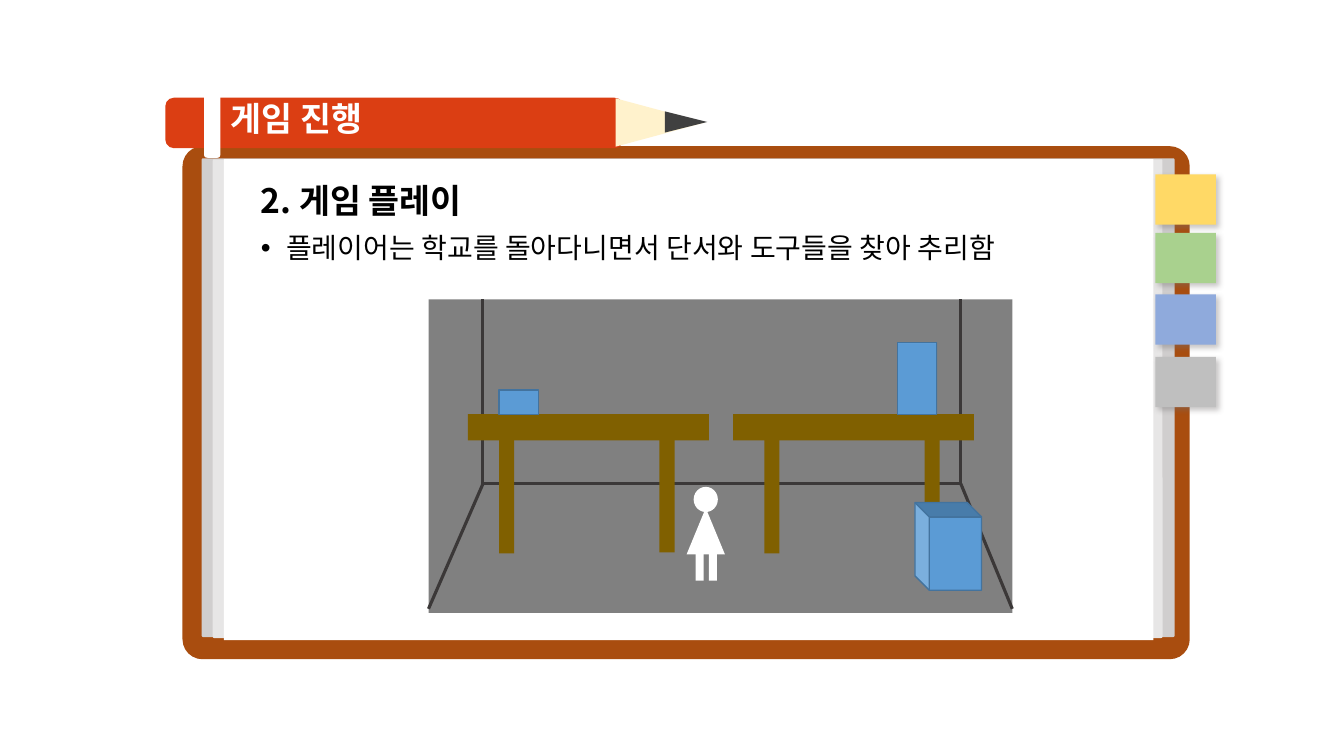
from dataclasses import dataclass
from typing import Any, Optional

from lxml import etree
from pptx import Presentation
from pptx import util as u
from pptx.dml.color import RGBColor
from pptx.enum import shapes, text
from pptx.oxml import ns

PX = 9144  # EMU per px, 100 px to the inch
FONT = "Noto Sans CJK KR"
FORM = shapes.MSO_SHAPE

WHITE = RGBColor(0xFF, 0xFF, 0xFF)
BLACK = RGBColor(0x00, 0x00, 0x00)
COVER_BROWN = RGBColor(0xA9, 0x4D, 0x0F)
PAGE_GREY = RGBColor(0xD0, 0xCE, 0xCE)
PAGE_LIGHT = RGBColor(0xE7, 0xE6, 0xE6)
PENCIL_RED = RGBColor(0xDB, 0x3E, 0x13)
PENCIL_WOOD = RGBColor(0xFF, 0xF2, 0xCC)
PENCIL_LEAD = RGBColor(0x40, 0x40, 0x40)
WALL_GREY = RGBColor(0x80, 0x80, 0x80)
EDGE_GREY = RGBColor(0x3B, 0x38, 0x38)
DESK_BROWN = RGBColor(0x80, 0x60, 0x00)
BOX_BLUE = RGBColor(0x5B, 0x9B, 0xD5)
BOX_EDGE = RGBColor(0x43, 0x73, 0x9E)
TAB_YELLOW = RGBColor(0xFF, 0xD9, 0x66)
TAB_GREEN = RGBColor(0xA9, 0xD1, 0x8E)
TAB_BLUE = RGBColor(0x8F, 0xAA, 0xDC)
TAB_GREY = RGBColor(0xBF, 0xBF, 0xBF)


@dataclass(frozen=True)
class Block:
    left: int
    top: int
    width: int
    height: int
    fill: RGBColor
    form: Any = FORM.RECTANGLE
    turn: int = 0
    adjust: Optional[float] = None
    outline: Optional[RGBColor] = None


@dataclass(frozen=True)
class Line:
    wording: str
    size: int
    color: RGBColor
    bold: bool = True
    space_before: int = 0
    bullet: bool = False


NOTEBOOK = [
    Block(181, 145, 999, 509, COVER_BROWN, FORM.ROUNDED_RECTANGLE, adjust=0.039),
    Block(200, 157, 965, 475, PAGE_GREY, FORM.ROUNDED_RECTANGLE, adjust=0.003),
    Block(211, 158, 942, 475, PAGE_LIGHT, FORM.ROUNDED_RECTANGLE, adjust=0.003),
]
PENCIL = [
    Block(366, -105, 50, 454, PENCIL_RED, FORM.ROUNDED_RECTANGLE, 90),
    Block(631, 77, 48, 89, PENCIL_WOOD, FORM.ISOSCELES_TRIANGLE, 90),
    Block(670, 100, 21, 42, PENCIL_LEAD, FORM.ISOSCELES_TRIANGLE, 90),
]
PENCIL_BAND = Block(179, 117, 63, 16, WHITE, FORM.ROUNDED_RECTANGLE, 270)
PAPER = Block(222, 158, 922, 477, WHITE)
ROOM = Block(425, 297, 579, 311, WALL_GREY)
GIRL = [
    Block(688, 483, 24, 25, WHITE, FORM.OVAL),
    Block(681, 504, 38, 46, WHITE, FORM.ISOSCELES_TRIANGLE),
    Block(690, 549, 8, 27, WHITE),
    Block(703, 549, 8, 27, WHITE),
]
BOXES = [
    Block(495, 387, 39, 24, BOX_BLUE, FORM.CUBE, 0, 0, BOX_EDGE),
    Block(890, 340, 39, 71, BOX_BLUE, FORM.CUBE, 0, 0, BOX_EDGE),
    Block(897, 509, 87, 66, BOX_BLUE, FORM.CUBE, 270, 0.215, BOX_EDGE),
]
TABS = {173: TAB_YELLOW, 231: TAB_GREEN, 292: TAB_BLUE, 354: TAB_GREY}

WALL_LEFT, WALL_RIGHT, CEILING, FLOOR, FRONT = 479, 953, 297, 480, 604
BACK_EDGE = (WALL_LEFT, FLOOR, WALL_RIGHT, FLOOR)
SIDE_EDGES = [
    (WALL_LEFT, CEILING, WALL_LEFT, FLOOR),
    (WALL_RIGHT, CEILING, WALL_RIGHT, FLOOR),
    (WALL_RIGHT, FLOOR, 1004, FRONT),
    (WALL_LEFT, FLOOR, 425, FRONT),
]
TITLE = [Line("게임 진행", 24, WHITE)]
BODY = [
    Line("2. 게임 플레이", 24, BLACK, space_before=10),
    Line("플레이어는 학교를 돌아다니면서 단서와 도구들을 찾아 추리함", 20, BLACK, False, 10, True),
]


def draw(target: Any, block: Block) -> Any:
    frame = (n * PX for n in (block.left, block.top, block.width, block.height))
    shape = target.add_shape(block.form, *frame)
    shape.rotation = block.turn
    shape.shadow.inherit = False
    shape.fill.solid()
    shape.fill.fore_color.rgb = block.fill
    if block.adjust is not None:
        shape.adjustments[0] = block.adjust
    if block.outline is None:
        shape.line.fill.background()
    else:
        shape.line.color.rgb = block.outline
        shape.line.width = u.Pt(1)
    return shape


def draw_group(page: Any, blocks: list[Block]) -> None:
    group = page.shapes.add_group_shape()
    for block in blocks:
        draw(group.shapes, block)


def desk(left: int) -> list[Block]:
    """Return a desk top with its two upright legs."""
    return [
        Block(left, 411, 239, 26, DESK_BROWN),
        Block(left - 18, 485, 113, 15, DESK_BROWN, turn=90),
        Block(left + 141, 484, 113, 15, DESK_BROWN, turn=90),
    ]


def draw_edge(page: Any, ends: tuple[int, int, int, int]) -> None:
    edge = page.shapes.add_connector(shapes.MSO_CONNECTOR.STRAIGHT, *(n * PX for n in ends))
    edge.line.color.rgb = EDGE_GREY
    edge.line.width = u.Pt(2.25)
    etree.SubElement(edge._element.spPr, ns.qn("a:effectLst"))


def draw_tab(page: Any, top: int, color: RGBColor) -> None:
    tab = draw(page.shapes, Block(1146, top, 60, 50, color))
    effects = tab._element.spPr.find(ns.qn("a:effectLst"))
    shadow = etree.SubElement(
        effects, ns.qn("a:outerShdw"), blurRad=str(u.Pt(4)), dist=str(u.Pt(3)),
        dir=str(45 * 60000), algn="tl", rotWithShape="0")
    tint = etree.SubElement(shadow, ns.qn("a:srgbClr"), val="767171")
    etree.SubElement(tint, ns.qn("a:alpha"), val="40000")


def write(page: Any, frame: tuple[int, int, int, int], lines: list[Line], anchor: Any) -> None:
    box = page.shapes.add_textbox(*(n * PX for n in frame))
    box.text_frame.word_wrap = True
    box.text_frame.vertical_anchor = anchor
    box.text_frame.text = "\n".join(line.wording for line in lines)
    for para, line in zip(box.text_frame.paragraphs, lines):
        para.line_spacing = 0.9
        para.space_before = u.Pt(line.space_before)
        if line.bullet:
            props = para._p.get_or_add_pPr()
            props.set("marL", str(25 * PX))
            props.set("indent", str(-25 * PX))
            etree.SubElement(props, ns.qn("a:buFont"), typeface="Arial")
            etree.SubElement(props, ns.qn("a:buChar"), char="•")
        for span in para.runs:
            span.font.size = u.Pt(line.size)
            span.font.bold = line.bold
            span.font.color.rgb = line.color
            span.font.name = FONT
            etree.SubElement(span._r.get_or_add_rPr(), ns.qn("a:ea"), typeface=FONT)


def main() -> None:
    deck = Presentation()
    deck.slide_width, deck.slide_height = 1333 * PX, 750 * PX
    page = deck.slides.add_slide(deck.slide_layouts[6])

    for block in NOTEBOOK:
        draw(page.shapes, block)
    draw_group(page, PENCIL)
    for block in (PENCIL_BAND, PAPER, ROOM):
        draw(page.shapes, block)
    draw_edge(page, BACK_EDGE)
    write(page, (249, 178, 863, 441), BODY, text.MSO_ANCHOR.TOP)
    write(page, (219, 96, 723, 48), TITLE, text.MSO_ANCHOR.MIDDLE)
    for top, color in TABS.items():
        draw_tab(page, top, color)
    draw_group(page, GIRL)
    for ends in SIDE_EDGES:
        draw_edge(page, ends)
    for left in (727, 464):
        draw_group(page, desk(left))
    for block in BOXES:
        draw(page.shapes, block)

    deck.save("out.pptx")


if __name__ == "__main__":
    main()
